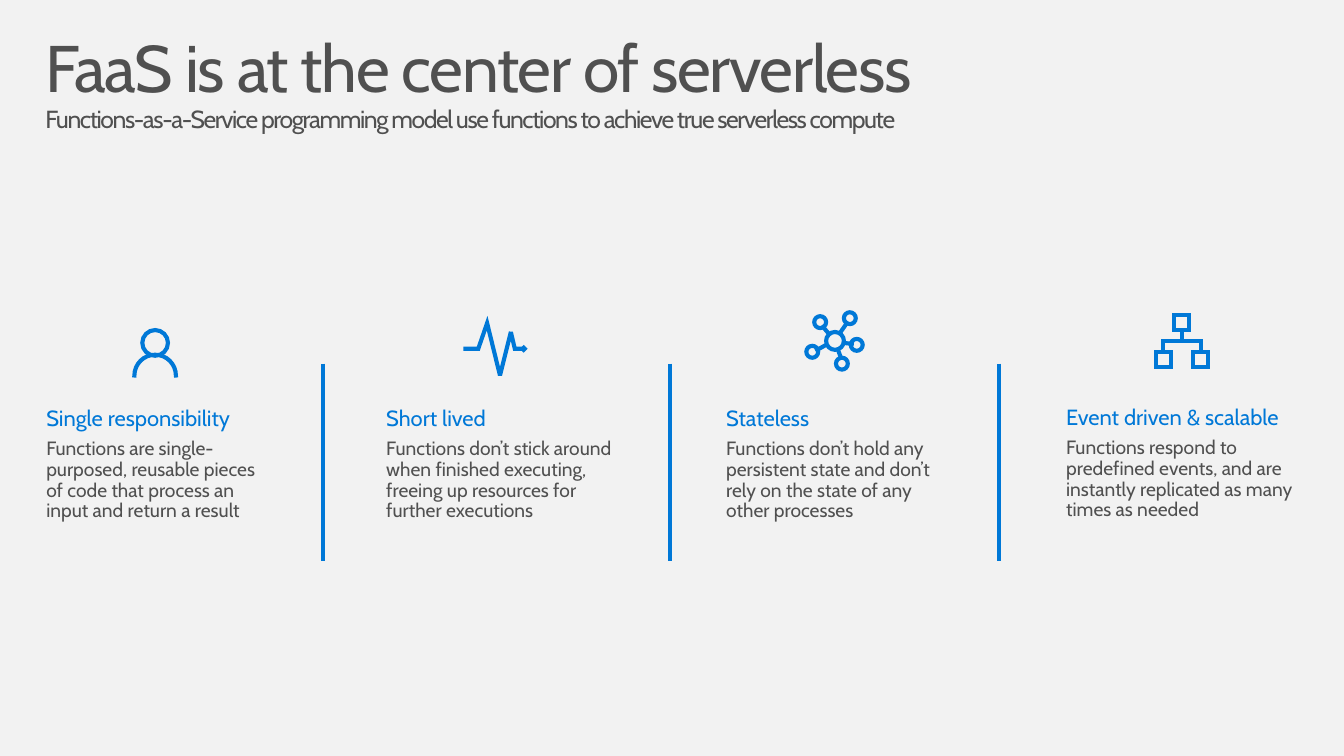
"""Build the slide that presents four traits of FaaS under a shared heading."""
from dataclasses import dataclass

from lxml.etree import SubElement
from pptx import Presentation
from pptx.dml.color import RGBColor
from pptx.enum.shapes import MSO_CONNECTOR
from pptx.enum.text import MSO_ANCHOR, MSO_AUTO_SIZE, PP_ALIGN
from pptx.oxml.ns import qn
from pptx.util import Inches, Pt

Point = tuple[float, float]

COLORS = {"background": "F2F2F2", "text": "505050", "accent": "0078D7"}
FONT = "Cabin"
LINE_WIDTH = Pt(3)
COLUMN_LEFT, COLUMN_PITCH, COLUMN_HEIGHT = 0.37, 3.44, 1.28
DIVIDERS, DIVIDER_TOP, DIVIDER_BOTTOM = (3.27, 6.78, 10.11), 3.68, 5.68
BEND = 0.55
UPPER_HALF = [(-1, 0), (-1, -BEND), (-BEND, -1), (0, -1), (BEND, -1), (1, -BEND), (1, 0)]
FULL_CIRCLE = UPPER_HALF + [(-x, -y) for x, y in UPPER_HALF[1:]]


@dataclass
class Stroke:
    """A run of points, read as Bézier curves when curved."""
    points: list[Point]
    curved: bool = False
    closed: bool = False


@dataclass
class Trait:
    """A column with its heading, explanation, icon, width and top."""
    heading: str
    detail: str
    icon: list[Stroke]
    width: float
    top: float = 4.07


def arch(cx: float, cy: float, r: float, unit: list[Point] = UPPER_HALF) -> Stroke:
    """Return the upper half of a circle, or another scaled unit curve."""
    return Stroke([(cx + r * x, cy + r * y) for x, y in unit], True, unit is FULL_CIRCLE)


def circle(cx: float, cy: float, r: float) -> Stroke:
    """Return a closed circle."""
    return arch(cx, cy, r, FULL_CIRCLE)


def square(x: float, y: float, side: float = 0.15) -> Stroke:
    """Return the outline of a square."""
    return Stroke([(x + side, y + side), (x, y + side), (x, y), (x + side, y),
                   (x + side, y + side)])


PERSON = [circle(1.57, 3.47, 0.13), arch(1.57, 3.8, 0.21)]
PULSE = [
    Stroke([(4.71, 3.53), (4.84, 3.53), (4.93, 3.27), (5.06, 3.8),
            (5.17, 3.36), (5.21, 3.53), (5.29, 3.53)]),
    circle(5.3, 3.53, 0.01),
]
NETWORK = [
    circle(8.45, 3.45, 0.09),
    *(circle(x, y, 0.06) for x, y in
      ((8.6, 3.22), (8.3, 3.26), (8.22, 3.56), (8.52, 3.68), (8.67, 3.49))),
    *(Stroke([start, end]) for start, end in (
        ((8.57, 3.27), (8.5, 3.37)),
        ((8.39, 3.38), (8.33, 3.31)),
        ((8.27, 3.54), (8.36, 3.49)),
        ((8.51, 3.62), (8.48, 3.54)),
        ((8.54, 3.47), (8.62, 3.48)))),
]
HIERARCHY = [
    *(square(x, y) for x, y in ((11.7, 3.56), (12.07, 3.56), (11.88, 3.19))),
    Stroke([(11.96, 3.34), (11.96, 3.45)]),
    Stroke([(12.15, 3.56), (12.15, 3.45), (11.77, 3.45), (11.77, 3.56)]),
]

TRAITS = [
    Trait("Single responsibility",
          "Functions are single-purposed, reusable pieces of code that process "
          "an input and return a result", PERSON, 2.4),
    Trait("Short lived",
          "Functions don’t stick around when finished executing, freeing up "
          "resources for further executions", PULSE, 2.62),
    Trait("Stateless",
          "Functions don’t hold any persistent state and don’t rely on the "
          "state of any other processes", NETWORK, 2.4),
    Trait("Event driven & scalable",
          "Functions respond to predefined events, and are instantly replicated "
          "as many times as needed", HIERARCHY, 2.54, 4.06),
]


def apply(target, values: dict) -> None:
    """Set each named attribute on the target."""
    for name, value in values.items():
        setattr(target, name, value)


def add_run(p, text: str, size: float, color: str):
    """Append a formatted run to the paragraph."""
    r = p.add_run()
    r.text = text
    apply(r.font, {"name": FONT, "size": Pt(size)})
    r.font.color.rgb = RGBColor.from_string(COLORS[color])
    return r


def style_line(sp, cap: str) -> None:
    """Give the shape an accent line with mitred corners."""
    sp.line.color.rgb = RGBColor.from_string(COLORS["accent"])
    sp.line.width = LINE_WIDTH
    ln = sp.line._get_or_add_ln()
    ln.set("cap", cap)
    SubElement(ln, qn("a:miter"), lim="800000")


def add_title(s) -> None:
    """Fill the title placeholder with the heading and its subtitle."""
    sp = s.shapes.title
    apply(sp, {"left": Inches(0.3), "top": Inches(0.26),
               "width": Inches(13), "height": Inches(1)})
    tf = sp.text_frame
    apply(tf, {"margin_left": Inches(0.16), "margin_right": Inches(0.16),
               "margin_top": Inches(0.1), "margin_bottom": Inches(0.1),
               "vertical_anchor": MSO_ANCHOR.TOP, "word_wrap": True,
               "auto_size": MSO_AUTO_SIZE.NONE})
    p = tf.paragraphs[0]
    apply(p, {"alignment": PP_ALIGN.LEFT, "line_spacing": 0.9, "space_before": Pt(0)})
    heading = add_run(p, "FaaS is at the center of serverless", 48, "text")
    p.add_line_break()
    subtitle = add_run(p, "Functions-as-a-Service programming model use functions "
                          "to achieve true serverless compute", 18, "text")
    for r in (heading, subtitle):
        r.font._element.set("spc", "-102")


def add_trait_text(shapes, trait: Trait, left: float) -> None:
    """Add the heading and explanation of a trait."""
    sp = shapes.add_textbox(Inches(left), Inches(trait.top),
                            Inches(trait.width), Inches(COLUMN_HEIGHT))
    tf = sp.text_frame
    apply(tf, {"word_wrap": True, "auto_size": MSO_AUTO_SIZE.SHAPE_TO_FIT_TEXT})
    p = tf.paragraphs[0]
    apply(p, {"line_spacing": 0.9, "space_after": Pt(6)})
    add_run(p, trait.heading, 16, "accent")
    p = tf.add_paragraph()
    apply(p, {"line_spacing": 0.9, "space_after": Pt(3)})
    add_run(p, trait.detail, 14, "text")


def bend_segments(sp, strokes: list[Stroke]) -> None:
    """Turn each three segments of a curved stroke into one Bézier curve."""
    index = -1
    curve = None
    for node in list(next(sp._element.iter(qn("a:path")))):
        if node.tag == qn("a:moveTo"):
            index, curve = index + 1, None
        elif node.tag == qn("a:lnTo") and strokes[index].curved:
            if curve is None or len(curve) == 3:
                curve = node.makeelement(qn("a:cubicBezTo"))
                node.addprevious(curve)
            curve.append(node[0])
            node.getparent().remove(node)


def add_icon(shapes, strokes: list[Stroke]) -> None:
    """Draw all strokes of an icon as one unfilled outline."""
    builder = None
    for stroke in strokes:
        start, *rest = [(Inches(x), Inches(y)) for x, y in stroke.points]
        if builder is None:
            builder = shapes.build_freeform(*start)
        else:
            builder.move_to(*start)
        builder.add_line_segments(rest, close=stroke.closed)
    sp = builder.convert_to_shape()
    bend_segments(sp, strokes)
    sp.shadow.inherit = False
    sp.fill.background()
    style_line(sp, "sq")


def add_divider(s, x: float) -> None:
    """Draw a vertical line between two columns."""
    sp = s.shapes.add_connector(MSO_CONNECTOR.STRAIGHT, Inches(x), Inches(DIVIDER_TOP),
                                Inches(x), Inches(DIVIDER_BOTTOM))
    style_line(sp, "flat")
    SubElement(sp._element.spPr, qn("a:effectLst"))


def main() -> None:
    """Create and save the presentation."""
    prs = Presentation()
    apply(prs, {"slide_width": Inches(13.6), "slide_height": Inches(7.65)})
    s = prs.slides.add_slide(prs.slide_layouts[5])
    fill = s.background.fill
    fill.solid()
    fill.fore_color.rgb = RGBColor.from_string(COLORS["background"])
    add_title(s)
    for i, trait in enumerate(TRAITS):
        group = s.shapes.add_group_shape()
        add_trait_text(group.shapes, trait, COLUMN_LEFT + i * COLUMN_PITCH)
        add_icon(group.shapes, trait.icon)
    for x in DIVIDERS:
        add_divider(s, x)
    prs.save("out.pptx")


if __name__ == "__main__":
    main()
